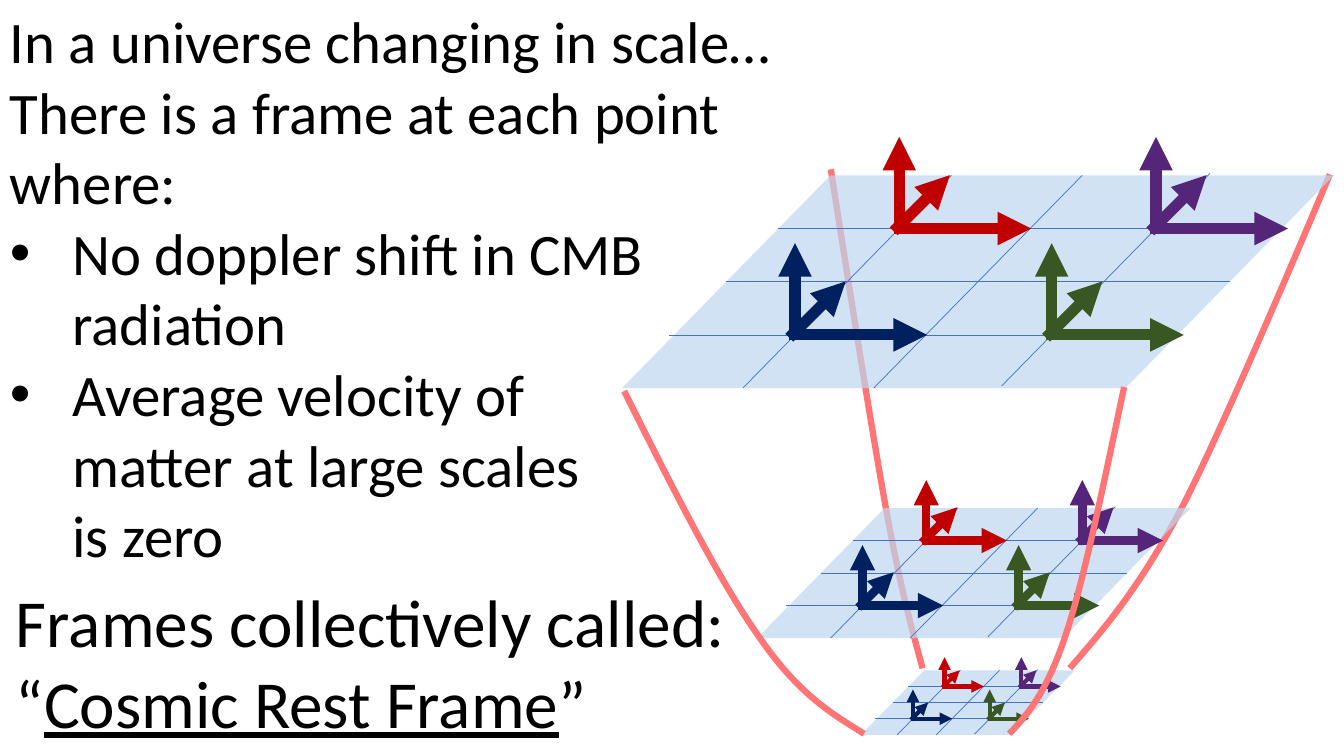
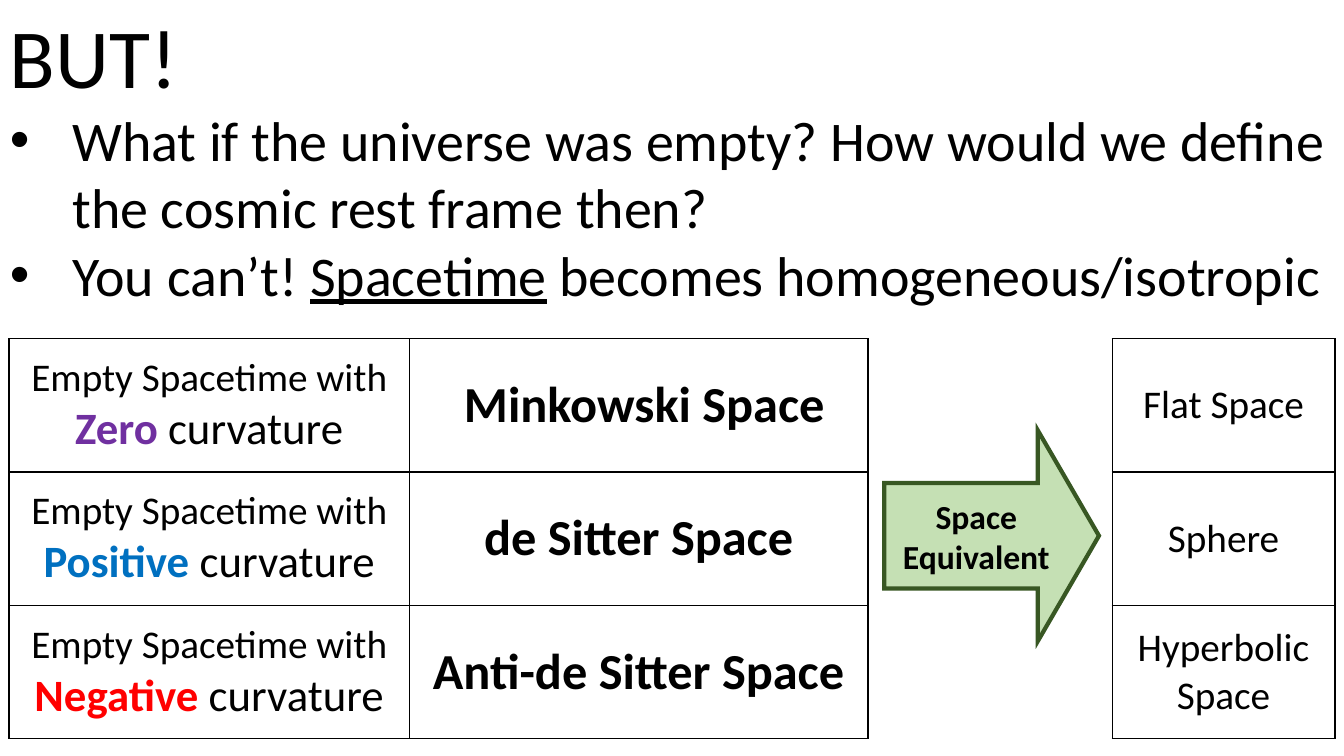
from lxml import etree
from pptx import Presentation
from pptx.dml.color import RGBColor
from pptx.enum.shapes import MSO_CONNECTOR, MSO_SHAPE
from pptx.enum.text import MSO_ANCHOR, MSO_AUTO_SIZE, PP_ALIGN
from pptx.oxml.ns import qn
from pptx.util import Inches, Pt

STRAIGHT = MSO_CONNECTOR.STRAIGHT
PARALLELOGRAM = MSO_SHAPE.PARALLELOGRAM
RIGHT_ARROW = MSO_SHAPE.RIGHT_ARROW
MIDDLE = MSO_ANCHOR.MIDDLE
GROW = MSO_AUTO_SIZE.SHAPE_TO_FIT_TEXT
CENTER = PP_ALIGN.CENTER

FONT = "Calibri"
BLACK, NAVY, GREEN, PURPLE, RED = "000000", "002060", "385723", "552579", "C00000"
PLANE_FILL, GRID_LINE, WORLD_LINE = "BDD7EE", "4472C4", "FF7575"
ARROW_FILL = "C5E0B4"

# Grid of a plane, as fractions of its top edge and of its height
SLANT = 0.98
COLS = (0.24, 0.5, 0.75)
ROWS = (0.25, 0.5, 0.75)
COL_SHIFTS = (0, 0, -0.01)
ROW_SHIFTS = (0, 0, -0.01)
FRAMES = ((NAVY, 0, 2), (GREEN, 2, 2), (PURPLE, 2, 0), (RED, 0, 0))

# Plane box, axis width in points, and axis lengths up, right and in depth
PLANES = (
    ((6.17, 1.74, 7.06, 2.11), 8, (0.91, 1.31, 0.53)),
    ((7.51, 5.04, 4.3, 1.29), 6, (0.6, 0.8, 0.33)),
    ((8.54, 6.65, 2.12, 0.64), 3, (0.29, 0.39, 0.16)),
)

# World lines of the plane corners: a start, then Bézier control points
BACK_RIGHT = ((10.61, 6.63), (10.95, 6.24), (11.29, 5.85), (11.72, 5.04),
              (12.15, 4.22), (13.19, 1.73), (13.19, 1.73))
BACK_LEFT = ((9.15, 6.63), (9.05, 6.26), (8.94, 5.88), (8.79, 5.06),
             (8.64, 4.23), (8.44, 2.96), (8.24, 1.68))
FRONT_LEFT = ((8.57, 7.28), (8.25, 7.08), (7.92, 6.89), (7.53, 6.32),
              (7.13, 5.76), (6.66, 4.82), (6.19, 3.88))
FRONT_RIGHT = ((10.01, 7.28), (10.2, 7.08), (10.38, 6.87), (10.57, 6.3),
               (10.76, 5.73), (10.95, 4.78), (11.15, 3.84))


def rgb(color):
    return RGBColor.from_string(color)


def inches(*values):
    return [Inches(v) for v in values]


def sub(parent, tag, **attrs):
    return etree.SubElement(parent, qn(tag), attrs)


# Text
def add_para(tf, runs, size, bullet=False, align=None):
    """Add a paragraph of (text, overrides) runs."""
    p = tf.paragraphs[0]
    if p.runs:
        p = tf.add_paragraph()
    p.alignment = align
    if bullet:
        pPr = p._p.get_or_add_pPr()
        pPr.set("marL", str(Inches(0.62)))
        pPr.set("indent", str(Inches(-0.62)))
        sub(pPr, "a:buFont", typeface="Arial")
        sub(pPr, "a:buChar", char="•")
    for text, look in runs:
        for i, line in enumerate(text.split("\n")):
            if i:
                p.add_line_break()
            r = p.add_run()
            r.text = line
            r.font.name = FONT
            r.font.size = Pt(size)
            r.font.bold = look.get("bold", False)
            r.font.underline = look.get("underline", False)
            r.font.color.rgb = rgb(look.get("color", BLACK))


def add_text(s, box):
    tf = s.shapes.add_textbox(*inches(*box)).text_frame
    tf.word_wrap = True
    tf.auto_size = GROW
    return tf


# Lines and shapes; the first argument is a slide or a group
def add_line(s, start, end, color, width, arrow=False):
    line = s.shapes.add_connector(STRAIGHT, *inches(*start, *end))
    line.line.color.rgb = rgb(color)
    line.line.width = Pt(width)
    if arrow:
        sub(line.line._get_or_add_ln(), "a:tailEnd", type="triangle")
    sub(line._element.spPr, "a:effectLst")


def add_shape(s, kind, box, adjustments, fill):
    sp = s.shapes.add_shape(kind, *inches(*box))
    sp.shadow.inherit = False
    for i, value in enumerate(adjustments):
        sp.adjustments[i] = value
    sp.fill.solid()
    sp.fill.fore_color.rgb = rgb(fill)
    return sp


def add_curve(s, points):
    builder = s.shapes.build_freeform(*inches(*points[0]), scale=1.0)
    builder.add_line_segments([inches(*pt) for pt in points[1:]], close=False)
    sp = builder.convert_to_shape()
    sp.shadow.inherit = False
    sp.fill.background()
    sp.line.color.rgb = rgb(WORLD_LINE)
    sp.line.width = Pt(4.5)
    # Turn every three line segments into one Bézier segment
    outline = next(sp._element.iter(qn("a:path")))
    segments = outline.findall(qn("a:lnTo"))
    for k in range(0, len(segments), 3):
        bezier = sub(outline, "a:cubicBezTo")
        for segment in segments[k:k + 3]:
            bezier.append(segment[0])
            outline.remove(segment)


# Planes and reference frames
def plane_point(box, col, row):
    x, y, w, h = box
    slant = SLANT * h
    return x + slant * (1 - row) + (w - slant) * col, y + h * row


def add_plane(s, box):
    sp = add_shape(s, PARALLELOGRAM, box, (SLANT,), PLANE_FILL)
    sp.line.fill.background()
    sub(sp._element.spPr.find(qn("a:solidFill"))[0], "a:alpha", val="70000")
    ends = [((col, d), (col, 1 + d)) for col, d in zip(COLS, COL_SHIFTS)]
    ends += [((1 + d, row), (d, row)) for row, d in zip(ROWS, ROW_SHIFTS)]
    for start, end in ends:
        add_line(s, plane_point(box, *start), plane_point(box, *end), GRID_LINE, 0.5)


def add_frame(s, origin, color, width, lengths):
    x, y = origin
    up, right, depth = lengths
    half = width / 144  # half the line width, closes the corner
    axes = (
        ((x - half, y + half / 2), (x + depth - half / 2, y - depth)),
        ((x - half, y), (x + right, y)),
        ((x, y), (x, y - up)),
    )
    for start, end in axes:
        add_line(s, start, end, color, width, arrow=True)


# Tables
def add_grid(s, box, widths, rows):
    """Draw a bordered table; each cell is a list of (runs, size) paragraphs."""
    table = s.shapes.add_table(len(rows), len(widths), *inches(*box)).table
    table.first_row = table.horz_banding = False
    for column, width in zip(table.columns, widths):
        column.width = Inches(width)
    for i, row in enumerate(rows):
        for j, paras in enumerate(row):
            cell = table.cell(i, j)
            cell.vertical_anchor = MIDDLE
            for runs, size in paras:
                add_para(cell.text_frame, runs, size, align=CENTER)
            tcPr = cell._tc.get_or_add_tcPr()
            for side in ("a:lnL", "a:lnR", "a:lnT", "a:lnB"):
                ln = sub(tcPr, side, w=str(Pt(1)))
                sub(sub(ln, "a:solidFill"), "a:srgbClr", val=BLACK)
            cell.fill.background()


# Slides
def rest_frame_slide(s):
    universe = s.shapes.add_group_shape()
    add_curve(universe, BACK_RIGHT)
    add_curve(universe, BACK_LEFT)
    for box, _, _ in PLANES:
        add_plane(universe, box)
    add_curve(universe, FRONT_LEFT)
    for box, width, lengths in PLANES:
        frames = s.shapes.add_group_shape()
        for color, col, row in FRAMES:
            origin = plane_point(box, COLS[col], ROWS[row])
            add_frame(frames, origin, color, width, lengths)
    add_curve(s, FRONT_RIGHT)

    tf = add_text(s, (0, 0, 7.87, 5.76))
    for text, bullet in (
        ("In a universe changing in scale…", False),
        ("There is a frame at each point where:", False),
        ("No doppler shift in CMB radiation", True),
        ("Average velocity of \nmatter at large scales \nis zero", True),
    ):
        add_para(tf, [(text, {})], 42, bullet)

    tf = add_text(s, (0.06, 5.71, 7.31, 1.72))
    add_para(tf, [("Frames collectively called: “", {}),
                  ("Cosmic Rest Frame", {"underline": True}), ("”", {})], 48)


def empty_universe_slide(s):
    tf = add_text(s, (0, 0, 13.33, 3.23))
    add_para(tf, [("BUT!", {})], 60)
    add_para(tf, [("What if the universe was empty? How would we define "
                   "the cosmic rest frame then?", {})], 40, bullet=True)
    add_para(tf, [("You can’t! ", {}), ("Spacetime", {"underline": True}),
                  (" becomes homogeneous/isotropic", {})], 40, bullet=True)

    spacetimes = (("Zero", "7030A0", " Minkowski Space"),
                  ("Positive", "0070C0", "de Sitter Space"),
                  ("Negative", "FF0000", "Anti-de Sitter Space"))
    rows = []
    for sign, color, name in spacetimes:
        curvature = [(sign, {"bold": True, "color": color}), (" curvature", {})]
        rows.append(([([("Empty Spacetime with", {})], 28), (curvature, 32)],
                     [([(name, {"bold": True})], 36)]))
    add_grid(s, (0.09, 3.36, 8.52, 3.97), (3.97, 4.55), rows)

    spaces = ("Flat Space", "Sphere", "Hyperbolic Space")
    add_grid(s, (11.03, 3.36, 2.21, 3.97), (2.21,),
             [([([(name, {})], 28)],) for name in spaces])

    sp = add_shape(s, RIGHT_ARROW, (8.77, 4.27, 2.13, 2.09), (0.5, 0.29), ARROW_FILL)
    sp.line.color.rgb = rgb(GREEN)
    sp.line.width = Pt(3)
    sub(sp.line._get_or_add_ln(), "a:miter", lim="800000")
    sp.text_frame.vertical_anchor = MIDDLE
    add_para(sp.text_frame, [("Space\nEquivalent", {"bold": True})], 24, align=CENTER)


def main():
    prs = Presentation()
    prs.slide_width, prs.slide_height = inches(13.33, 7.5)
    for build in (rest_frame_slide, empty_universe_slide):
        build(prs.slides.add_slide(prs.slide_layouts[6]))
    prs.save("out.pptx")


if __name__ == "__main__":
    main()
